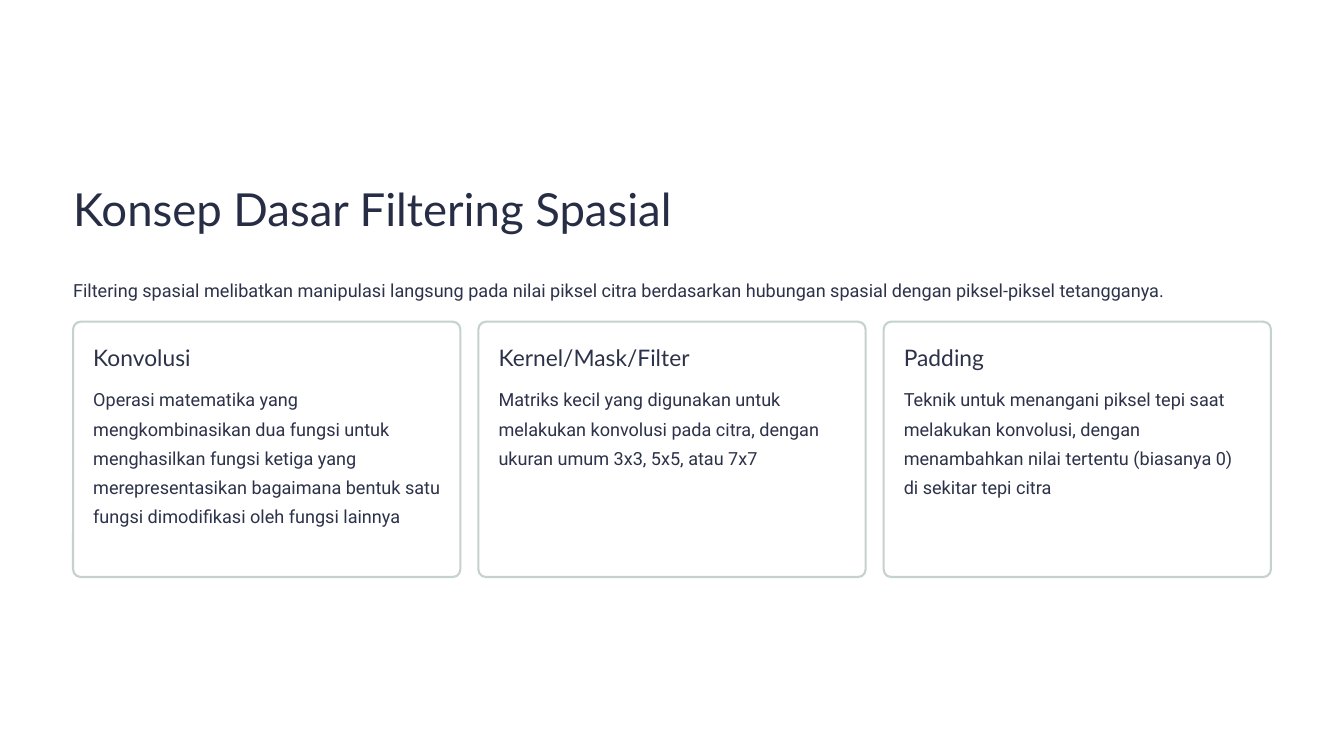
from pptx import Presentation
from pptx.dml.color import RGBColor
from pptx.enum.shapes import MSO_SHAPE
from pptx.util import Inches, Pt

ROUNDED = MSO_SHAPE.ROUNDED_RECTANGLE

LEFT = 0.87
CONTENT_WIDTH = 14.26
CARD_TOP = 3.83
CARD_WIDTH = 4.61
CARD_HEIGHT = 3.04
CARD_PADDING = 0.24

WHITE = "FFFFFF"
BORDER = "C5D2CF"
NAVY = "272D45"
SLATE = "2C3249"

TITLE = {"name": "Lato", "size": Pt(39)}
HEADING = {"name": "Lato", "size": Pt(19.5)}
BODY = {"name": "Roboto", "size": Pt(15.5)}

CARDS = [
    ("Konvolusi",
     "Operasi matematika yang mengkombinasikan dua fungsi untuk menghasilkan "
     "fungsi ketiga yang merepresentasikan bagaimana bentuk satu fungsi "
     "dimodifikasi oleh fungsi lainnya", 2.08),
    ("Kernel/Mask/Filter",
     "Matriks kecil yang digunakan untuk melakukan konvolusi pada citra, "
     "dengan ukuran umum 3x3, 5x5, atau 7x7", 1.39),
    ("Padding",
     "Teknik untuk menangani piksel tepi saat melakukan konvolusi, dengan "
     "menambahkan nilai tertentu (biasanya 0) di sekitar tepi citra", 1.39),
]


def paint(color_format, value):
    color_format.rgb = RGBColor.from_string(value)


def add_text(slide, box, text, style, color, line_height, wrap=False):
    frame = slide.shapes.add_textbox(*map(Inches, box)).text_frame
    for side in ("left", "top", "right", "bottom"):
        setattr(frame, f"margin_{side}", 0)
    frame.word_wrap = wrap
    paragraph = frame.paragraphs[0]
    paragraph.line_spacing = Pt(line_height)
    run = paragraph.add_run()
    run.text = text
    for attribute, value in style.items():
        setattr(run.font, attribute, value)
    paint(run.font.color, color)


def add_card(slide, left, heading, description, description_height):
    panel = slide.shapes.add_shape(
        ROUNDED, *map(Inches, (left, CARD_TOP, CARD_WIDTH, CARD_HEIGHT)))
    panel.shadow.inherit = False
    panel.adjustments[0] = 0.03
    panel.fill.solid()
    paint(panel.fill.fore_color, WHITE)
    paint(panel.line.color, BORDER)
    panel.line.width = Pt(1.8)

    text_left = left + CARD_PADDING
    text_width = CARD_WIDTH - 2 * CARD_PADDING
    add_text(slide, (text_left, 4.08, 2.71, 0.34), heading, HEADING, SLATE, 24)
    add_text(slide, (text_left, 4.54, text_width, description_height),
             description, BODY, SLATE, 25, wrap=True)


def main():
    presentation = Presentation()
    presentation.slide_width = Inches(16)
    presentation.slide_height = Inches(9)
    slide = presentation.slides.add_slide(presentation.slide_layouts[6])
    slide.background.fill.solid()
    paint(slide.background.fill.fore_color, WHITE)

    add_text(slide, (LEFT, 2.13, 7.17, 0.68),
             "Konsep Dasar Filtering Spasial", TITLE, NAVY, 48.5)
    add_text(slide, (LEFT, 3.24, CONTENT_WIDTH, 0.35),
             "Filtering spasial melibatkan manipulasi langsung pada nilai piksel "
             "citra berdasarkan hubungan spasial dengan piksel-piksel tetangganya.",
             BODY, SLATE, 25)

    card_pitch = (CONTENT_WIDTH - CARD_WIDTH) / (len(CARDS) - 1)
    for column, card in enumerate(CARDS):
        add_card(slide, LEFT + column * card_pitch, *card)

    presentation.save("out.pptx")


if __name__ == "__main__":
    main()
